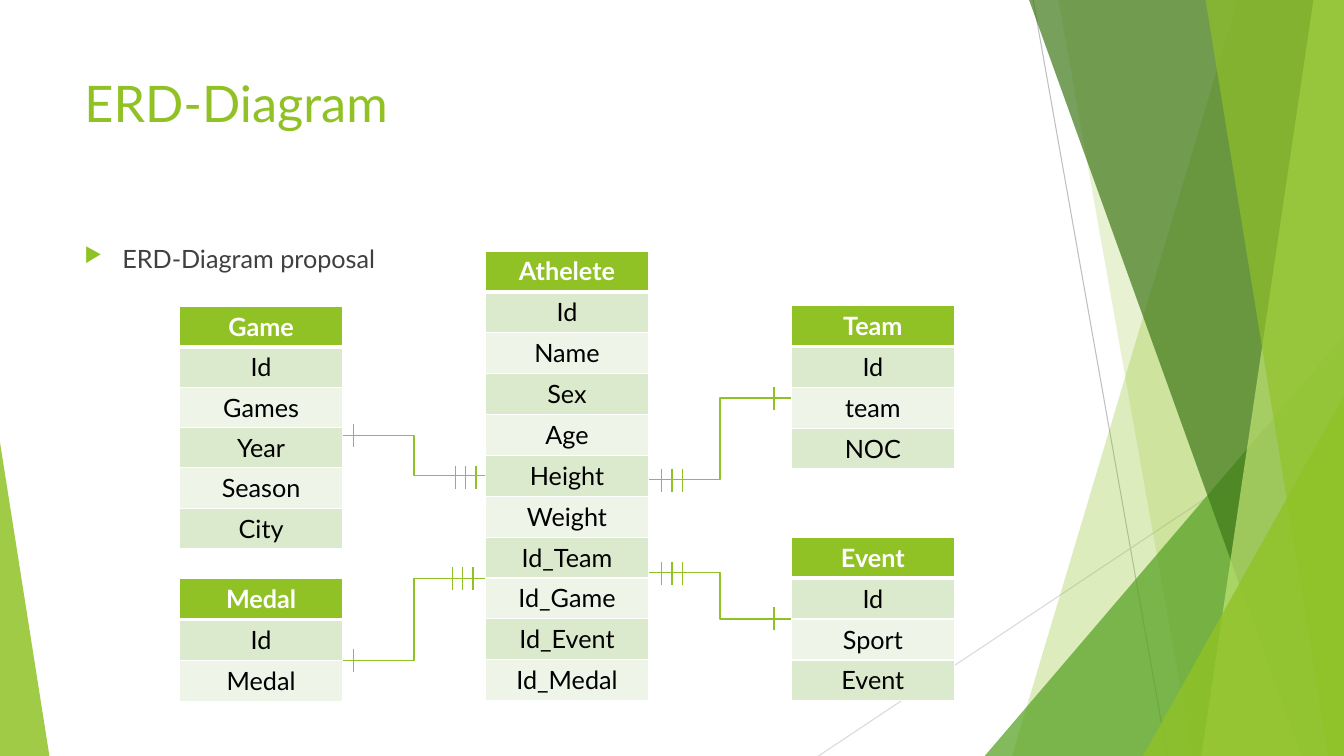
from lxml import etree
from pptx import Presentation
from pptx.dml.color import RGBColor
from pptx.enum import shapes, text
from pptx.oxml import ns
from pptx.util import Pt

FONT = "Lato"
HEX = {
    "lime": "90C226", "leaf": "54A021", "pine": "3F7819", "pale": "C0E474",
    "band": "DBE9CD", "light": "EEF4E8", "white": "FFFFFF", "black": "000000",
    "body": "404040", "grey": "BFBFBF", "mist": "D9D9D9",
}
WIDE, HIGH = 960, 540
COL, STEP = 116.6, 218.5
LEFT, MID, RIGHT = [128.2 + STEP * i for i in range(3)]
TICK = 16.4

# Upper edge start, lower edge start, colour, opacity; all reach the right side
BLADES = {
    "back": (884.2, 722.9, "lime", 30),
    "soft": (756, 851.8, "lime", 20),
    "dark": (735.1, 929.5, "pine", 70),
    "pale": (938.2, 858.2, "pale", 70),
    "front": (861.1, 949, "lime", 65),
}
TABLES = [
    (LEFT, 218.9, 28.8, ["Game", "Id", "Games", "Year", "Season", "City"]),
    (MID, 179.3, 29.2, ["Athelete", "Id", "Name", "Sex", "Age", "Height", "Weight",
                        "Id_Team", "Id_Game", "Id_Event", "Id_Medal"]),
    (RIGHT, 218.2, 29.2, ["Team", "Id", "team", "NOC"]),
    (RIGHT, 383.8, 29.2, ["Event", "Id", "Sport", "Event"]),
    (LEFT, 413.3, 29.2, ["Medal", "Id", "Medal"]),
]
# Left end x and y, right end x and y
LINKS = [
    (LEFT + COL, 311, MID, 339.8),
    (LEFT + COL, 471.6, MID, 413.3),
    (MID + COL, 342.7, RIGHT, 284.4),
    (MID + COL, 409, RIGHT, 442.1),
]
# Middle x of each tick group, y, number of ticks
TICKS = [
    (252.7, 311, 1), (252.7, 471.6, 1), (553, 442.1, 1), (553, 284.4, 1),
    (332.6, 340.9, 3), (330.5, 413.3, 3), (480, 409.5, 3), (480, 343, 3),
]
GAP = 7.4


def rgb(name):
    return RGBColor.from_string(HEX[name])


def sub(parent, tag, **attrs):
    return etree.SubElement(parent, ns.qn(tag), attrs)


def paint(shape, color, alpha):
    shape.shadow.inherit = False
    shape.line.fill.background()
    shape.fill.solid()
    shape.fill.fore_color.rgb = rgb(color)
    clr = next(shape.element.spPr.iter(ns.qn("a:srgbClr")))
    sub(clr, "a:alpha", val=str(alpha * 1000))


def add_blade(slide, top, low, color, alpha):
    pen = slide.shapes.build_freeform(Pt(top), 0)
    corners = [(WIDE, 0), (WIDE, HIGH), (low, HIGH)]
    pen.add_line_segments([(Pt(x), Pt(y)) for x, y in corners], close=True)
    paint(pen.convert_to_shape(), color, alpha)


def add_wedge(slide, x, y, wide, apex, color, alpha):
    """Triangle standing on the lower slide edge, with its tip at apex (0 to 1)."""
    kind = shapes.MSO_SHAPE.ISOSCELES_TRIANGLE
    wedge = slide.shapes.add_shape(kind, Pt(x), Pt(y), Pt(wide), Pt(HIGH - y))
    wedge.adjustments[0] = apex
    paint(wedge, color, alpha)


def add_line(slide, x1, y1, x2, y2, color="lime", width=1, bent=False):
    kind = shapes.MSO_CONNECTOR.ELBOW if bent else shapes.MSO_CONNECTOR.STRAIGHT
    line = slide.shapes.add_connector(kind, Pt(x1), Pt(y1), Pt(x2), Pt(y2))
    line.line.color.rgb = rgb(color)
    line.line.width = Pt(width)
    sub(line.element.spPr, "a:effectLst")


def add_ticks(slide, mid, y, count):
    for i in range(count):
        x = mid + (i - (count - 1) / 2) * GAP
        add_line(slide, x, y - TICK / 2, x, y + TICK / 2)


def style(para, size, color, bold=False):
    font = para.font
    font.name, font.size, font.bold = FONT, Pt(size), bold
    font.color.rgb = rgb(color)


def add_text(slide, words, y, high, size, color):
    box = slide.shapes.add_textbox(Pt(53.3), Pt(y), Pt(676.8), Pt(high))
    box.text_frame.word_wrap = True
    para = box.text_frame.paragraphs[0]
    para.text = words
    style(para, size, color)
    return para


def add_bullet(para):
    props = para._p.get_or_add_pPr()
    props.set("marL", str(Pt(27)))
    props.set("indent", str(-Pt(27)))
    marks = [etree.Element(ns.qn(tag)) for tag in ("a:buClr", "a:buSzPct", "a:buChar")]
    sub(marks[0], "a:srgbClr", val=HEX["lime"])
    marks[1].set("val", "80000")
    marks[2].set("char", "▶")
    for i, mark in enumerate(marks):
        props.insert(i, mark)


def add_edges(cell, row):
    """White cell borders, thicker between the head and the first row."""
    props = cell._tc.get_or_add_tcPr()
    for side in "LRTB":
        thick = (row, side) in [(0, "B"), (1, "T")]
        edge = sub(props, f"a:ln{side}", w=str(Pt(3 if thick else 1)))
        sub(sub(edge, "a:solidFill"), "a:srgbClr", val=HEX["white"])


def add_entity(slide, x, y, high, names):
    frame = slide.shapes.add_table(len(names), 1, Pt(x), Pt(y), Pt(COL), Pt(high * len(names)))
    table = frame.table
    table.horz_banding = False
    for row, name in enumerate(names):
        table.rows[row].height = Pt(high)
        cell = table.cell(row, 0)
        add_edges(cell, row)
        cell.fill.solid()
        fill = "lime" if row == 0 else "band" if row % 2 else "light"
        cell.fill.fore_color.rgb = rgb(fill)
        para = cell.text_frame.paragraphs[0]
        para.text = name
        para.alignment = text.PP_ALIGN.CENTER
        style(para, 18, "black" if row else "white", bold=row == 0)


def add_decor(slide):
    add_line(slide, 738, 0, 833.8, HIGH, "grey", 0.75)
    add_line(slide, WIDE, 290.2, 584.6, HIGH, "mist", 0.75)
    add_blade(slide, *BLADES["back"])
    add_blade(slide, *BLADES["soft"])
    add_wedge(slide, 703.4, 239.8, 256.6, 1, "leaf", 72)
    for name in ("dark", "pale", "front"):
        add_blade(slide, *BLADES[name])
    add_wedge(slide, 816.5, 283, 143.5, 1, "lime", 80)
    add_wedge(slide, 0, 316, 35.3, 0, "lime", 85)


def main():
    deck = Presentation()
    deck.slide_width, deck.slide_height = Pt(WIDE), Pt(HIGH)
    slide = deck.slides.add_slide(deck.slide_layouts[6])
    add_decor(slide)
    add_text(slide, "ERD-Diagram", 48.2, 103.7, 36, "lime")
    add_bullet(add_text(slide, "ERD-Diagram proposal", 170, 30, 18, "body"))
    for entry in TABLES:
        add_entity(slide, *entry)
    for link in LINKS:
        add_line(slide, *link, bent=True)
    for group in TICKS:
        add_ticks(slide, *group)
    deck.save("out.pptx")


if __name__ == "__main__":
    main()
